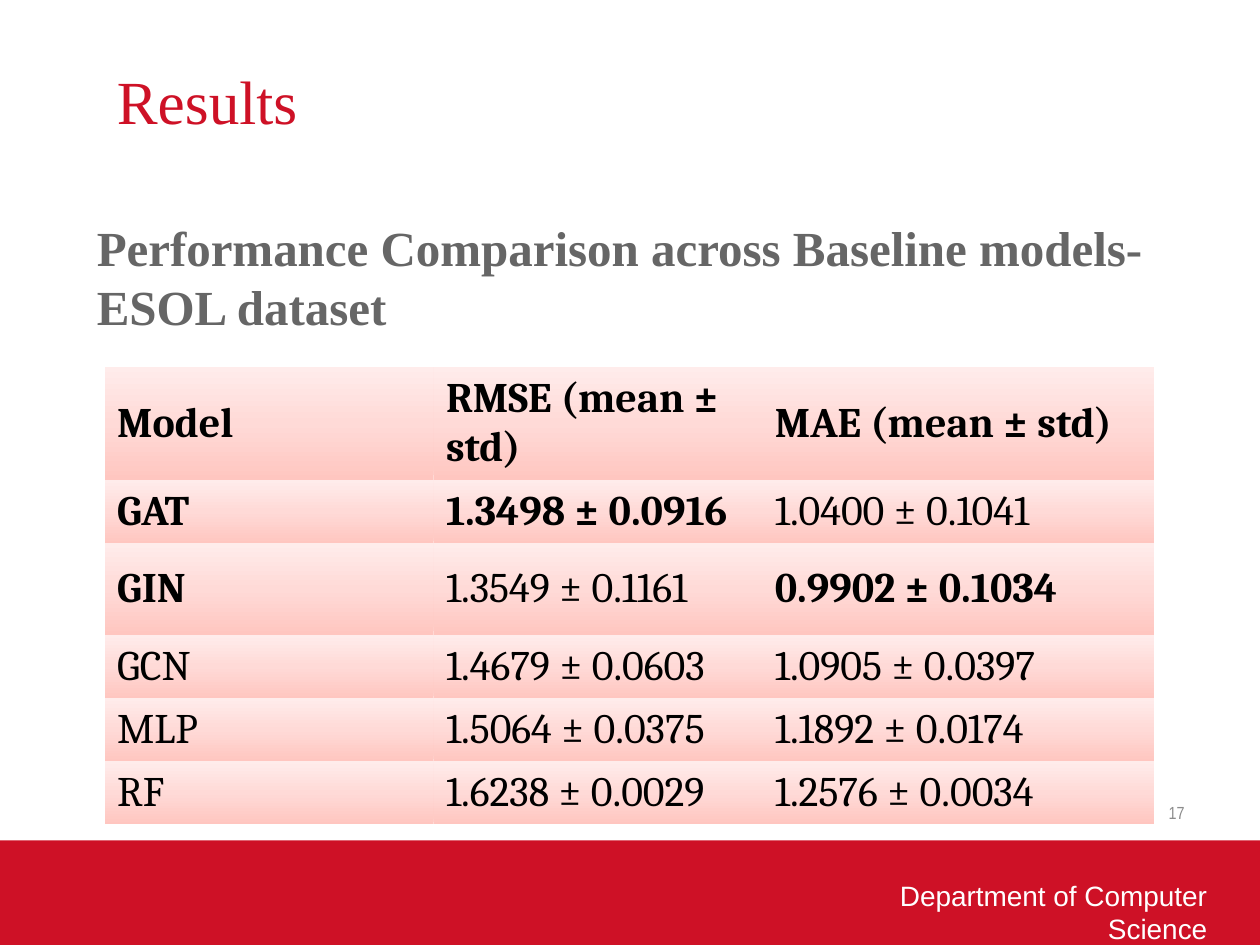
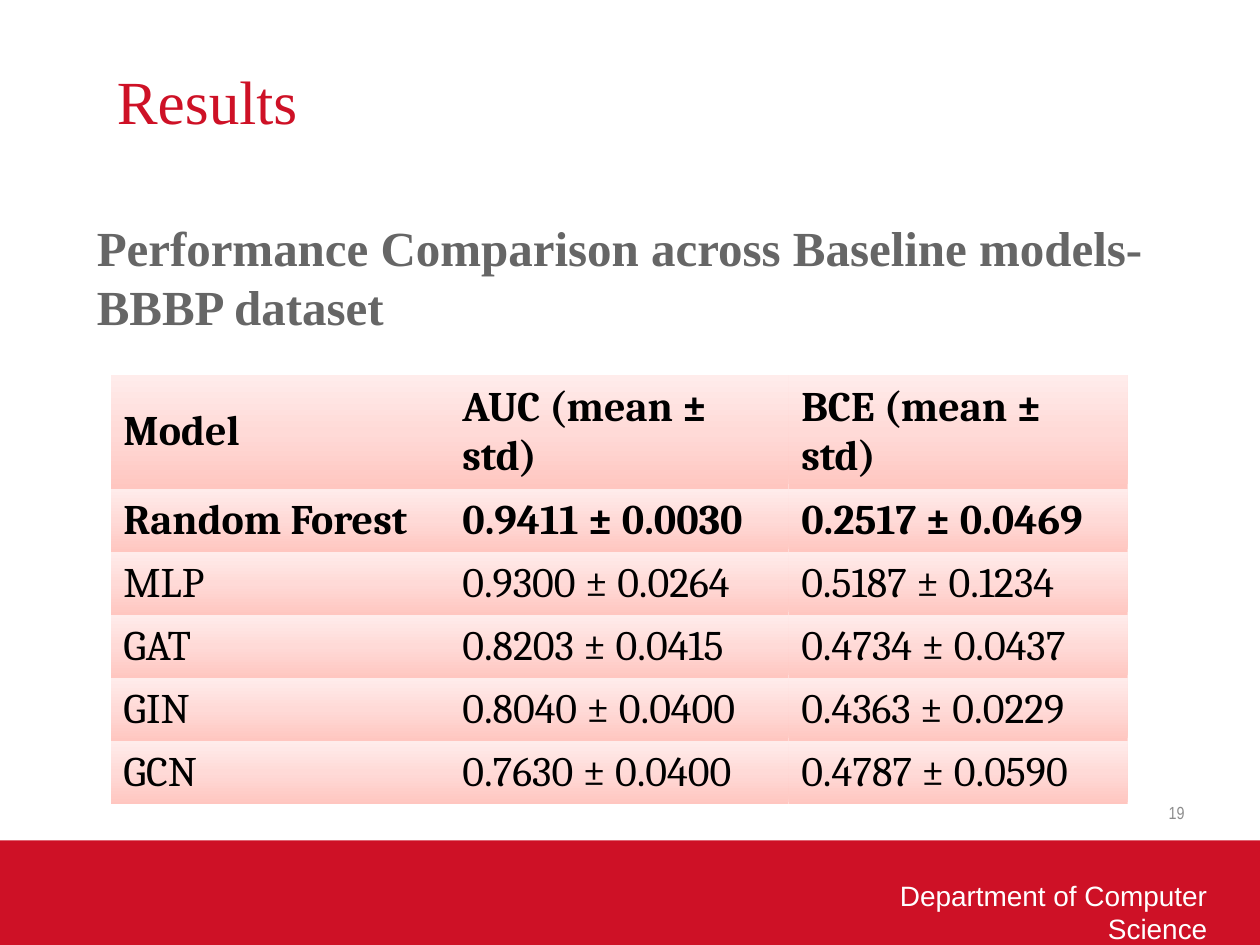
from dataclasses import dataclass

import lxml.etree
import pptx
import pptx.dml.color
import pptx.enum.shapes
import pptx.enum.text
import pptx.oxml
import pptx.oxml.ns
import pptx.util

Inches = pptx.util.Inches
Align = pptx.enum.text.PP_ALIGN
Anchor = pptx.enum.text.MSO_ANCHOR
qn = pptx.oxml.ns.qn


@dataclass(frozen=True)
class TextStyle:
    face: str
    size: int
    color: str
    bold: bool = False
    align: Align = Align.LEFT
    anchor: Anchor = Anchor.TOP


@dataclass(frozen=True)
class Gradient:
    stops: tuple[tuple[int, str], ...]
    angle: int


@dataclass(frozen=True)
class Theme:
    band: str = "CE1126"
    title: TextStyle = TextStyle("Times New Roman", 35, "CE1126", anchor=Anchor.MIDDLE)
    heading: TextStyle = TextStyle("Times New Roman", 28, "666666", bold=True)
    cell: TextStyle = TextStyle("Cambria", 24, "000000", anchor=Anchor.MIDDLE)
    department: TextStyle = TextStyle("Arial", 16, "FFFFFF", align=Align.RIGHT)
    page: TextStyle = TextStyle("Arial Narrow", 10, "8C8C8C", align=Align.RIGHT,
                                anchor=Anchor.MIDDLE)
    heading_fill: Gradient = Gradient(((0, "000000"), (4, "666666"), (87, "CCCCCC")), 90)
    cell_fill: Gradient = Gradient(((0, "FFC6C0"), (50, "FFDAD7"), (100, "FFECEB")), 270)
    outline: str = "000000"
    plain_table: str = "{2D5ABB26-0587-4C30-8999-92F81FD0307C}"


THEME = Theme()


@dataclass(frozen=True)
class Box:
    left: float
    top: float
    width: float
    height: float

    def lengths(self) -> tuple[int, ...]:
        return tuple(Inches(n) for n in (self.left, self.top, self.width, self.height))


@dataclass(frozen=True)
class ResultRow:
    texts: tuple[str, str, str]
    bold_columns: tuple[int, ...] = ()


@dataclass(frozen=True)
class ResultsPage:
    number: int
    dataset: str
    left: float
    top: float
    column_widths: tuple[float, ...]
    row_heights: tuple[float, ...]
    rows: tuple[ResultRow, ...]


ALL = (0, 1, 2)
PAGES = (
    ResultsPage(17, "ESOL", 0.83, 2.91, (2.61, 2.61, 3.11),
                (0.73, 0.42, 0.73, 0.42, 0.42, 0.42), (
        ResultRow(("Model", "RMSE (mean ± std)", "MAE (mean ± std)"), ALL),
        ResultRow(("GAT", "1.3498 ± 0.0916", "1.0400 ± 0.1041"), (0, 1)),
        ResultRow(("GIN", "1.3549 ± 0.1161", "0.9902 ± 0.1034"), (0, 2)),
        ResultRow(("GCN", "1.4679 ± 0.0603", "1.0905 ± 0.0397")),
        ResultRow(("MLP", "1.5064 ± 0.0375", "1.1892 ± 0.0174")),
        ResultRow(("RF", "1.6238 ± 0.0029", "1.2576 ± 0.0034")),
    )),
    ResultsPage(19, "BBBP", 0.88, 2.98, (2.69,) * 3, (0.49,) * 6, (
        ResultRow(("Model", "AUC (mean ± std)", "BCE (mean ± std)"), ALL),
        ResultRow(("Random Forest", "0.9411 ± 0.0030", "0.2517 ± 0.0469"), ALL),
        ResultRow(("MLP", "0.9300 ± 0.0264", "0.5187 ± 0.1234")),
        ResultRow(("GAT", "0.8203 ± 0.0415", "0.4734 ± 0.0437")),
        ResultRow(("GIN", "0.8040 ± 0.0400", "0.4363 ± 0.0229")),
        ResultRow(("GCN", "0.7630 ± 0.0400", "0.4787 ± 0.0590")),
    )),
)


def rgb(color: str) -> pptx.dml.color.RGBColor:
    return pptx.dml.color.RGBColor.from_string(color)


def add_color(parent, color: str) -> None:
    lxml.etree.SubElement(parent, qn("a:srgbClr"), val=color)


def gradient_element(gradient: Gradient):
    fill = pptx.oxml.parse_xml(
        f'<a:gradFill {pptx.oxml.ns.nsdecls("a")} rotWithShape="1"><a:gsLst/></a:gradFill>')
    for position, color in gradient.stops:
        stop = lxml.etree.SubElement(fill[0], qn("a:gs"), pos=str(position * 1000))
        add_color(stop, color)
    lxml.etree.SubElement(fill, qn("a:lin"), ang=str(gradient.angle * 60000), scaled="0")
    return fill


def write(frame, text: str, style: TextStyle, bold: bool = False):
    paragraph = frame.paragraphs[0]
    paragraph.alignment = style.align
    run = paragraph.add_run()
    run.text = text
    formats = {"name": style.face, "size": pptx.util.Pt(style.size),
               "bold": style.bold or bold}
    for attribute, value in formats.items():
        setattr(run.font, attribute, value)
    run.font.color.rgb = rgb(style.color)
    return run


def add_text(slide, box: Box, text: str, style: TextStyle):
    frame = slide.shapes.add_textbox(*box.lengths()).text_frame
    frame.word_wrap = True
    frame.vertical_anchor = style.anchor
    return write(frame, text, style)


def add_footer(slide) -> None:
    band = slide.shapes.add_shape(pptx.enum.shapes.MSO_SHAPE.RECTANGLE,
                                  *Box(0, 6.67, 10, 0.83).lengths())
    band.shadow.inherit = False
    band.fill.solid()
    band.fill.fore_color.rgb = rgb(THEME.band)
    band.line.fill.background()
    add_text(slide, Box(6.43, 6.92, 3.25, 0.37), "Department of Computer Science",
             THEME.department)


def add_heading(slide, dataset: str) -> None:
    """Add the heading with a gradient and a thin outline on its letters."""
    run = add_text(slide, Box(0.67, 1.68, 8.83, 1.04),
                   f"Performance Comparison across Baseline models- {dataset} dataset",
                   THEME.heading)
    properties = run.font._element
    properties.replace(properties.find(qn("a:solidFill")),
                       gradient_element(THEME.heading_fill))
    outline = pptx.oxml.parse_xml(f'<a:ln {pptx.oxml.ns.nsdecls("a")} w="12700"/>')
    add_color(lxml.etree.SubElement(outline, qn("a:solidFill")), THEME.outline)
    properties.insert(0, outline)


def add_results(slide, page: ResultsPage) -> None:
    box = Box(page.left, page.top, sum(page.column_widths), sum(page.row_heights))
    results = slide.shapes.add_table(len(page.rows), len(page.column_widths),
                                     *box.lengths()).table
    results.first_row = results.horz_banding = False
    results._tbl.tblPr.find(qn("a:tableStyleId")).text = THEME.plain_table
    for column, width in zip(results.columns, page.column_widths):
        column.width = Inches(width)
    for line, height, row in zip(results.rows, page.row_heights, page.rows):
        line.height = Inches(height)
        for index, (cell, text) in enumerate(zip(line.cells, row.texts)):
            cell.vertical_anchor = THEME.cell.anchor
            write(cell.text_frame, text, THEME.cell, index in row.bold_columns)
            cell._tc.get_or_add_tcPr().append(gradient_element(THEME.cell_fill))


def main() -> None:
    deck = pptx.Presentation()
    deck.slide_width, deck.slide_height = Inches(10), Inches(7.5)
    for page in PAGES:
        slide = deck.slides.add_slide(deck.slide_layouts[6])
        add_footer(slide)
        add_text(slide, Box(0.83, 0.17, 8.17, 1.25), "Results", THEME.title)
        add_text(slide, Box(7.17, 6.25, 2.33, 0.4), str(page.number), THEME.page)
        add_heading(slide, page.dataset)
        add_results(slide, page)
    deck.save("out.pptx")


if __name__ == "__main__":
    main()
